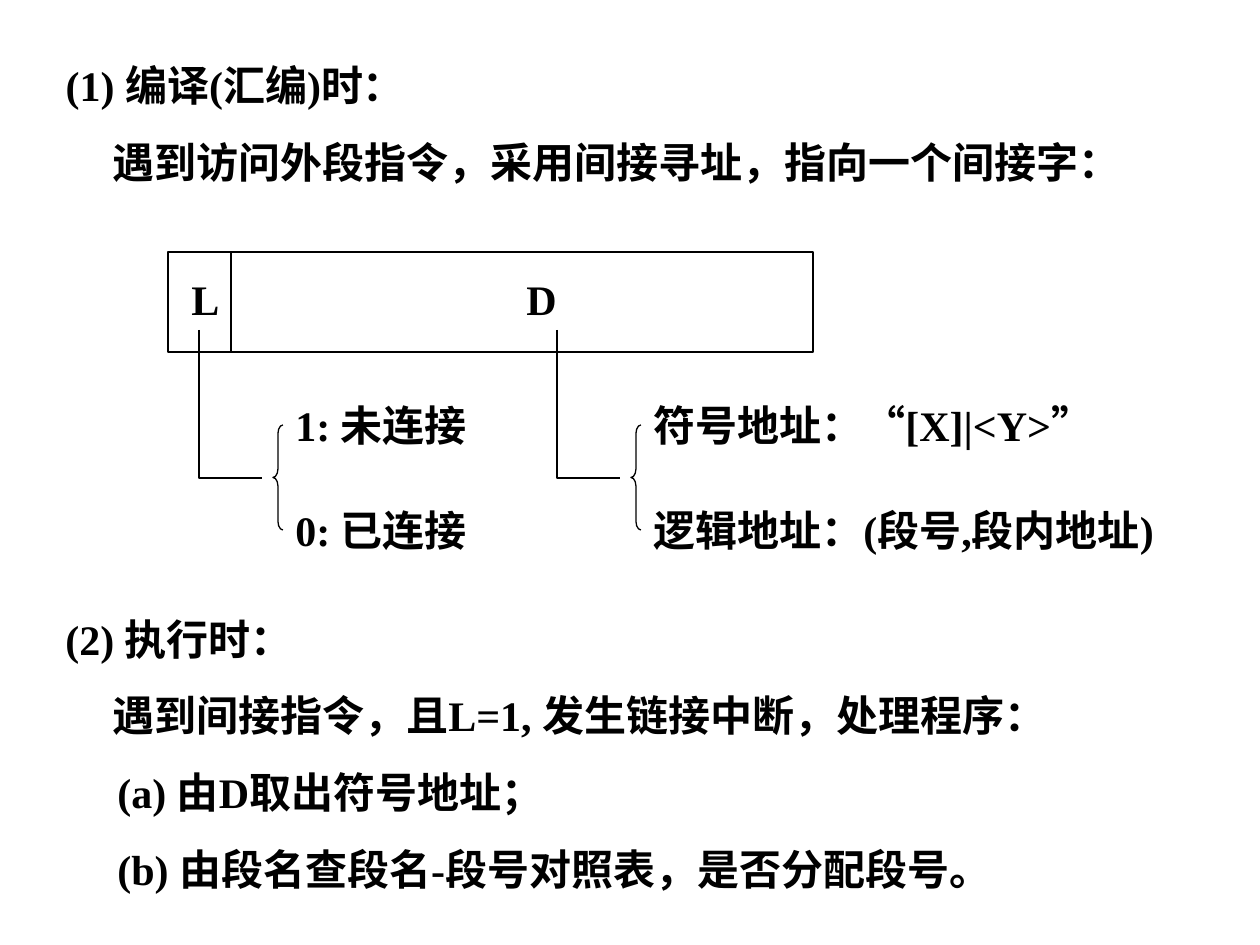
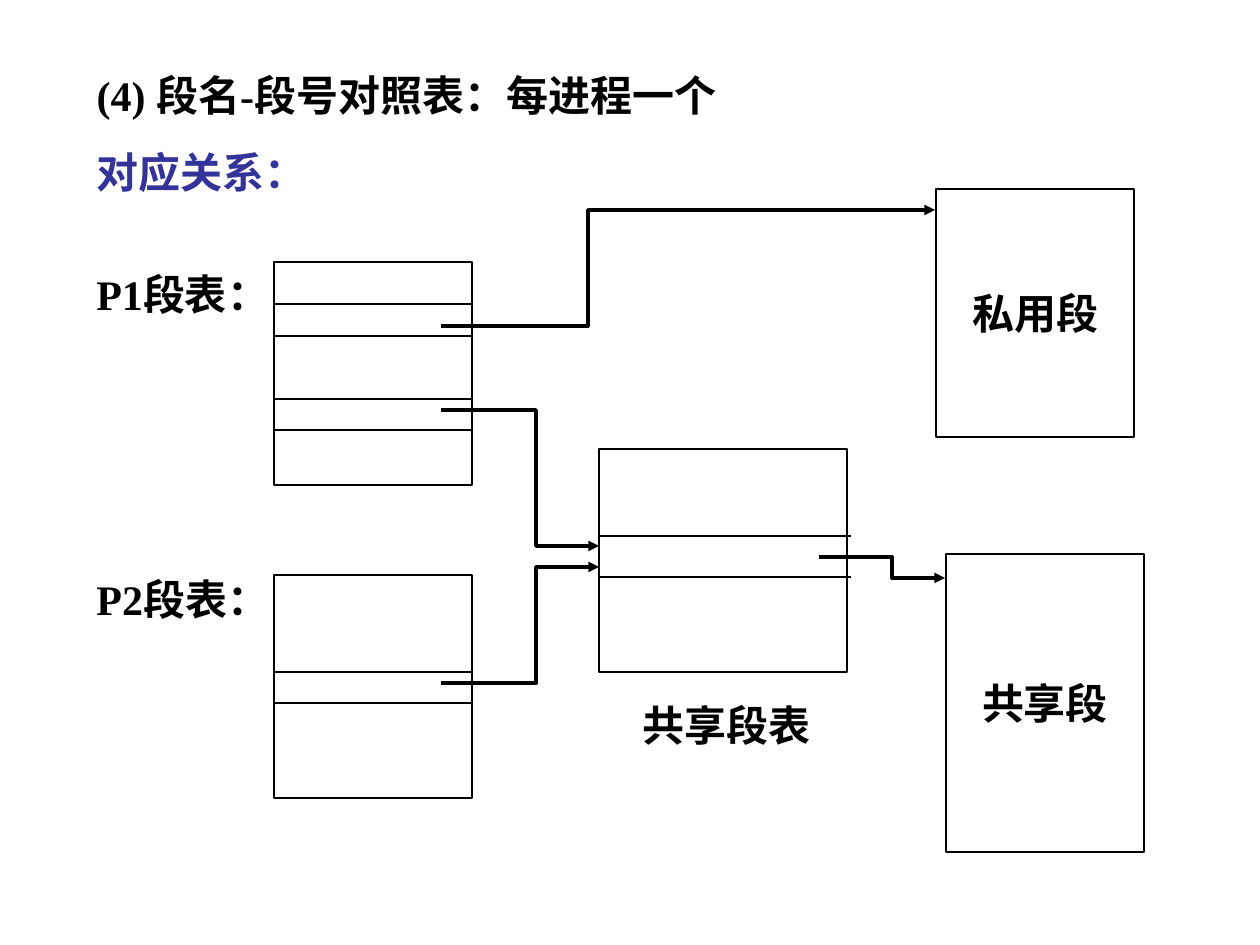
from collections import namedtuple

from lxml.etree import SubElement
from pptx import Presentation
from pptx.dml.color import RGBColor
from pptx.enum.lang import MSO_LANGUAGE_ID
from pptx.enum.shapes import MSO_CONNECTOR, MSO_SHAPE
from pptx.enum.text import MSO_ANCHOR, MSO_AUTO_SIZE, PP_ALIGN
from pptx.oxml.ns import qn
from pptx.util import Emu, Pt

Box = namedtuple("Box", "left top width height")

PX_PER_INCH = 126
FONT = "Times New Roman"
BLACK = "000000"
INDIGO = "333399"
THIN, FRAME, THICK = 0.75, 1.5, 2
LINE_HEIGHT = 63
LINE_STEP = 77
TEXT_INDENT = 47
ITEM_INDENT = 52


def px(length):
    return Emu(round(length * 914400 / PX_PER_INCH))


def color(value):
    return RGBColor.from_string(value)


def place(shape, box):
    shape.left, shape.top, shape.width, shape.height = map(px, box)


def write_line(para, text, ink=BLACK, indent=0, align=PP_ALIGN.LEFT):
    para.alignment = align
    if indent:
        properties = para._p.get_or_add_pPr()
        properties.set("marL", str(px(indent)))
        properties.set("indent", "0")
    span = para.add_run()
    span.text = text
    span.font.name = FONT
    span.font.size = Pt(24)
    span.font.bold = True
    span.font.color.rgb = color(ink)
    span.font.language_id = MSO_LANGUAGE_ID.SIMPLIFIED_CHINESE


def add_text(page, box, *lines):
    shape = page.shapes.add_textbox(*map(px, box))
    frame = shape.text_frame
    frame.word_wrap = True
    for number, line in enumerate(lines):
        para = frame.add_paragraph() if number else frame.paragraphs[0]
        if number:
            para.space_before = Pt(15)
        write_line(para, **line)


def add_label(page, box, text):
    add_text(page, box, {"text": text})


def add_heading(page, box, text):
    title = page.shapes.title
    place(title, box)
    frame = title.text_frame
    frame.word_wrap = True
    frame.auto_size = MSO_AUTO_SIZE.NONE
    frame.vertical_anchor = MSO_ANCHOR.TOP
    write_line(frame.paragraphs[0], text)


def outline(shape, weight):
    shape.shadow.inherit = False
    shape.fill.background()
    shape.line.color.rgb = color(BLACK)
    shape.line.width = Pt(weight)


def add_preset(page, kind, box, weight):
    shape = page.shapes.add_shape(kind, *map(px, box))
    outline(shape, weight)
    return shape


def add_rule(page, start, end):
    rule = page.shapes.add_connector(MSO_CONNECTOR.STRAIGHT, *map(px, start + end))
    rule.line.color.rgb = color(BLACK)
    rule.line.width = Pt(THIN)
    SubElement(rule._element.spPr, qn("a:effectLst"))


def add_path(page, points, weight):
    corners = [(px(x), px(y)) for x, y in points]
    builder = page.shapes.build_freeform(*corners[0])
    builder.add_line_segments(corners[1:], close=False)
    path = builder.convert_to_shape()
    outline(path, weight)
    return path


def add_elbow_arrow(page, start, turn, end):
    points = [start, (turn, start[1]), (turn, end[1]), end]
    arrow = add_path(page, points, THICK)
    SubElement(arrow.line._get_or_add_ln(), qn("a:tailEnd"), type="triangle")


def draw_indirect_word(page, box):
    add_preset(page, MSO_SHAPE.RECTANGLE, box, FRAME)
    divider = box.left + 63
    add_rule(page, (divider, box.top), (divider, box.top + box.height))
    for text, offset, width in (("L", 11, 42), ("D", 346, 84)):
        add_label(page, Box(box.left + offset, box.top + 15, width, LINE_HEIGHT), text)


def draw_field_meaning(page, box, choices):
    left, top, width, height = box
    elbow = top + 148
    add_path(page, [(left, top), (left, elbow), (left + 63, elbow)], THIN)
    brace = add_preset(page, MSO_SHAPE.LEFT_BRACE, Box(left + 74, top + 95, 10, 105), THIN)
    brace.adjustments[0] = 0.85
    for row, (text, label_width) in enumerate(choices):
        label = Box(left + 84, top + 63 + 105 * row, label_width, LINE_HEIGHT)
        add_label(page, label, text)


def draw_segment_table(page, box, row_lines, overhang=0):
    add_preset(page, MSO_SHAPE.RECTANGLE, box, FRAME)
    right = box.left + box.width + overhang
    for offset in row_lines:
        height = box.top + offset
        add_rule(page, (box.left, height), (right, height))


def draw_segment(page, box, text):
    segment = add_preset(page, MSO_SHAPE.RECTANGLE, box, FRAME)
    frame = segment.text_frame
    frame.word_wrap = False
    frame.vertical_anchor = MSO_ANCHOR.MIDDLE
    write_line(frame.paragraphs[0], text, align=PP_ALIGN.CENTER)


def build_linking_slide(page):
    heading = Box(53, 53, 1166, LINE_HEIGHT)
    add_heading(page, heading, "(1) 编译(汇编)时：")
    add_text(
        page,
        heading._replace(top=heading.top + LINE_STEP),
        {"text": "遇到访问外段指令，采用间接寻址，指向一个间接字：", "indent": TEXT_INDENT},
    )
    draw_indirect_word(page, Box(168, 252, 645, 100))
    draw_field_meaning(
        page, Box(199, 330, 294, 231), [("1: 未连接", 210), ("0: 已连接", 210)]
    )
    draw_field_meaning(
        page,
        Box(557, 330, 651, 281),
        [("符号地址：“[X]|<Y>”", 483), ("逻辑地址：(段号,段内地址)", 567)],
    )
    add_text(
        page,
        Box(53, 607, 1166, 294),
        {"text": "(2) 执行时："},
        {"text": "遇到间接指令，且L=1, 发生链接中断，处理程序：", "indent": TEXT_INDENT},
        {"text": "(a) 由D取出符号地址；", "indent": ITEM_INDENT},
        {"text": "(b) 由段名查段名-段号对照表，是否分配段号。", "indent": ITEM_INDENT},
    )


def build_mapping_slide(page):
    heading = Box(84, 63, 882, LINE_HEIGHT)
    add_heading(page, heading, "(4) 段名-段号对照表：每进程一个")
    add_text(
        page,
        heading._replace(top=heading.top + LINE_STEP),
        {"text": "对应关系：", "ink": INDIGO},
    )
    draw_segment_table(page, Box(274, 262, 198, 223), (42, 74, 137, 168))
    draw_segment_table(page, Box(274, 575, 198, 223), (97, 128))
    draw_segment_table(page, Box(599, 449, 248, 223), (87, 128), overhang=4)
    draw_segment(page, Box(936, 189, 198, 248), "私用段")
    draw_segment(page, Box(946, 554, 198, 298), "共享段")
    add_label(page, Box(84, 262, 179, LINE_HEIGHT), "P1段表：")
    add_label(page, Box(84, 567, 168, LINE_HEIGHT), "P2段表：")
    add_label(page, Box(630, 693, 210, LINE_HEIGHT), "共享段表")
    for start, turn, end in (
        ((441, 326), 588, (935, 210)),
        ((441, 410), 536, (599, 546)),
        ((441, 683), 536, (599, 567)),
        ((819, 557), 892, (945, 578)),
    ):
        add_elbow_arrow(page, start, turn, end)


def main():
    deck = Presentation()
    deck.slide_width, deck.slide_height = px(1260), px(945)
    title_only = deck.slide_layouts[5]
    for build in (build_linking_slide, build_mapping_slide):
        build(deck.slides.add_slide(title_only))
    deck.save("out.pptx")


if __name__ == "__main__":
    main()
